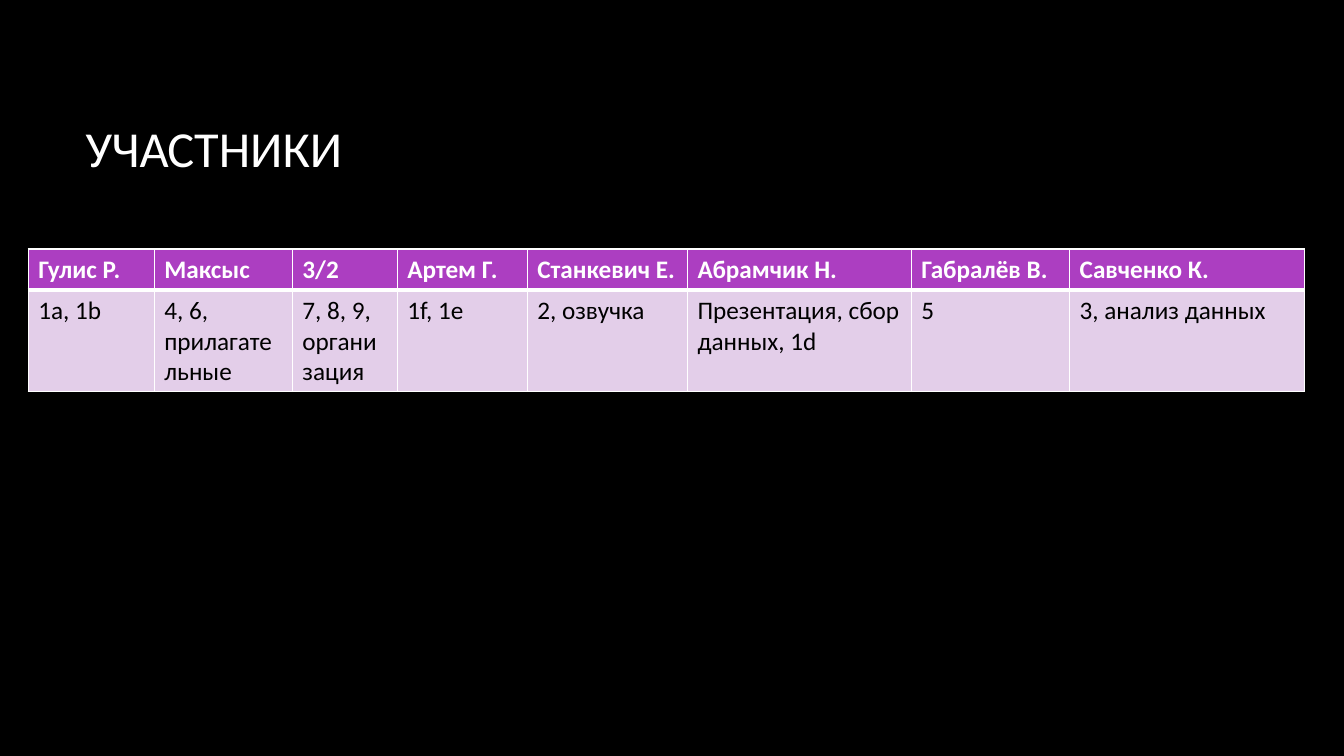
from lxml.etree import SubElement
from pptx import Presentation
from pptx.dml.color import RGBColor
from pptx.enum.text import MSO_ANCHOR
from pptx.oxml.ns import qn
from pptx.util import Inches, Pt


def paint(fill, tone):
    fill.solid()
    fill.fore_color.rgb = RGBColor.from_string(tone)


def write(frame, text, tone, style):
    para = frame.paragraphs[0]
    run = para.add_run()
    run.text = text
    for key, value in style.items():
        setattr(run.font, key, value)
    paint(run.font.fill, tone)


deck = Presentation()
deck.slide_width, deck.slide_height = Inches(13.33), Inches(7.5)
slide = deck.slides.add_slide(deck.slide_layouts[6])
paint(slide.background.fill, "000000")

title = slide.shapes.add_textbox(Inches(0.75), Inches(0.67), Inches(11.08), Inches(1.59))
frame = title.text_frame
frame.word_wrap = True
frame.vertical_anchor = MSO_ANCHOR.MIDDLE
write(frame, "УЧАСТНИКИ", "FFFFFF", {"name": "Calibri", "size": Pt(36)})

people = [
    ("Гулис Р.", "1a, 1b", 1.25),
    ("Максыс", "4, 6, прилагательные", 1.37),
    ("3/2", "7, 8, 9, организация", 1.04),
    ("Артем Г.", "1f, 1e", 1.29),
    ("Станкевич Е.", "2, озвучка", 1.59),
    ("Абрамчик Н.", "Презентация, сбор данных, 1d", 2.22),
    ("Габралёв В.", "5", 1.57),
    ("Савченко К.", "3, анализ данных", 2.33),
]
rows = [
    {"high": 0.41, "fill": "AC3EC1", "tone": "FFFFFF", "bold": True, "top": 1, "base": 3},
    {"high": 1, "fill": "E3CEE9", "tone": "000000", "bold": False, "top": 3, "base": 1},
]
table = slide.shapes.add_table(
    len(rows), len(people), Inches(0.28), Inches(2.47), Inches(12.66), Inches(1.41)
).table

for col, person in enumerate(people):
    table.columns[col].width = Inches(person[2])
    for row, look in enumerate(rows):
        table.rows[row].height = Inches(look["high"])
        cell = table.cell(row, col)
        props = cell._tc.get_or_add_tcPr()
        sides = {"lnL": 1, "lnR": 1, "lnT": look["top"], "lnB": look["base"]}
        for side, width in sides.items():
            line = SubElement(props, qn(f"a:{side}"), w=str(Pt(width)))
            solid = SubElement(line, qn("a:solidFill"))
            SubElement(solid, qn("a:srgbClr"), val="FFFFFF")
        paint(cell.fill, look["fill"])
        style = {"name": "Calibri", "size": Pt(18), "bold": look["bold"]}
        write(cell.text_frame, person[row], look["tone"], style)

deck.save("out.pptx")
